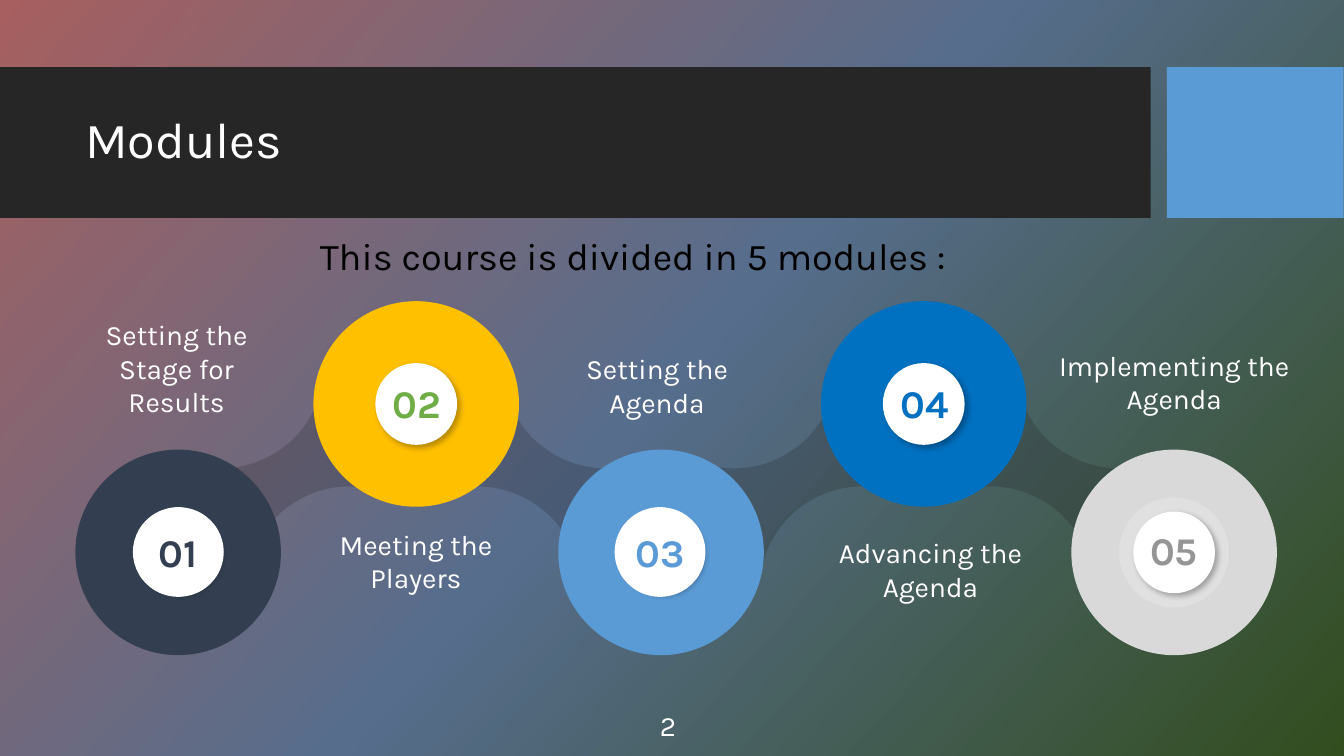
"""Build the Modules slide: five numbered circles joined by curved links."""
from lxml import etree
from pptx import Presentation
from pptx.dml.color import RGBColor
from pptx.enum.shapes import MSO_SHAPE
from pptx.enum.text import MSO_ANCHOR, PP_ALIGN
from pptx.oxml import parse_xml
from pptx.oxml.ns import nsdecls, qn
from pptx.util import Cm, Pt

RECT, OVAL = MSO_SHAPE.RECTANGLE, MSO_SHAPE.OVAL
TOP, MIDDLE = MSO_ANCHOR.TOP, MSO_ANCHOR.MIDDLE
LEFT, CENTER = PP_ALIGN.LEFT, PP_ALIGN.CENTER

WHITE = RGBColor(0xFF, 0xFF, 0xFF)
BLACK = RGBColor(0, 0, 0)
BAND = RGBColor(0x26, 0x26, 0x26)
LINK = RGBColor(0x18, 0x17, 0x17)
NAVY = RGBColor(0x33, 0x3F, 0x50)
AMBER = RGBColor(0xFF, 0xC0, 0x00)
GREEN = RGBColor(0x70, 0xAD, 0x47)
SKY = RGBColor(0x5B, 0x9B, 0xD5)
BLUE = RGBColor(0x00, 0x70, 0xC0)
SILVER = RGBColor(0xD9, 0xD9, 0xD9)
GREY = RGBColor(0x95, 0x95, 0x95)

FONT = "Karla"
BACKGROUND = [(0, "A75F5F"), (50, "566D8C"), (100, "324D1E")]
BACKGROUND_ANGLE = 42
BANDS = [((0, 1.69, 29, 3.8), BAND), ((29.41, 1.69, 4.45, 3.8), SKY)]
TEXTS = [
    ("Modules", (1.9, 2.08, 26.7, 3), 36, WHITE, LEFT, MIDDLE, 0.9),
    ("2", (16.38, 18, 1.12, 0.53), 20, WHITE, LEFT, MIDDLE),
    ("This course is divided in 5 modules :", (1.6, 5.74, 28.7, 1.42), 27, BLACK),
]
HIGH, LOW = 10.18, 13.92
MODULES = [
    dict(number="01", x=4.49, y=LOW, disc=NAVY, core=NAVY, badge=WHITE, ink=NAVY,
         badge_box=(3.35, 12.78, 2.29, 2.26),
         label="Setting the Stage for Results", box=(1.67, 7.88, 5.56, 2.82)),
    dict(number="02", x=10.49, y=HIGH, disc=AMBER, core=WHITE, badge=None, ink=GREEN,
         badge_box=(9.36, 9.01, 2.29, 2.26),
         label="Meeting the Players", box=(8.2, 13.16, 4.57, 1.96)),
    dict(number="03", x=16.66, y=LOW, disc=SKY, core=SKY, badge=WHITE, ink=SKY,
         badge_box=(15.49, 12.78, 2.29, 2.26),
         label="Setting the Agenda", box=(14.45, 8.73, 4.22, 1.96)),
    dict(number="04", x=23.28, y=HIGH, disc=BLUE, core=WHITE, badge=None, ink=BLUE,
         badge_box=(22.16, 9.01, 2.29, 2.26),
         label="Advancing the Agenda", box=(20.68, 13.38, 5.54, 1.96)),
    dict(number="05", x=29.59, y=LOW, disc=SILVER, core=WHITE, badge=None, ink=GREY,
         badge_box=(28.3, 12.57, 2.57, 2.57),
         label="Implementing the Agenda", box=(25.58, 8.65, 8.03, 1.96)),
]
DISC, RING, CORE = 5.18, 2.77, 2.06
LINK_XS, LINK_Y = [7.19, 13.65, 20.12, 26.58], 12.03
LINK_HALF = [
    (-0.89, 2.22), (-2.39, -0.35), (-2.29, -0.32),
    (-1.65, -0.14), (-0.94, -0.22), (-0.33, -0.57),
    (0.3, -0.93), (0.71, -1.49), (0.89, -2.15),
]
CURVE_STARTS = (3, 6, 12, 15)


def paint(shape, color, opacity=100):
    shape.shadow.inherit = False
    shape.line.fill.background()
    if color is None:
        shape.fill.background()
        return
    shape.fill.solid()
    shape.fill.fore_color.rgb = color
    if opacity < 100:
        clr = shape._element.spPr.find(".//" + qn("a:srgbClr"))
        etree.SubElement(clr, qn("a:alpha"), val=str(opacity * 1000))


def add_shadow(shape):
    effects = shape._element.spPr.find(qn("a:effectLst"))
    effects.append(parse_xml(
        f'<a:outerShdw {nsdecls("a")} blurRad="{Pt(4)}" dist="{Pt(3)}" dir="2700000" '
        'algn="tl" rotWithShape="0"><a:srgbClr val="000000"><a:alpha val="27000"/>'
        '</a:srgbClr></a:outerShdw>'))


def add_shape(parent, kind, box, color, opacity=100):
    sp = parent.shapes.add_shape(kind, *map(Cm, box))
    paint(sp, color, opacity)
    return sp


def write(sp, text, size, color, align=CENTER, anchor=TOP, spacing=None,
          bold=False, **margins):
    tf = sp.text_frame
    for name, value in dict(word_wrap=True, vertical_anchor=anchor, **margins).items():
        setattr(tf, name, value)
    p = tf.paragraphs[0]
    p.alignment = align
    p.line_spacing = spacing
    r = p.add_run()
    r.text = text
    for name, value in dict(name=FONT, size=Pt(size), bold=bold).items():
        setattr(r.font, name, value)
    r.font.color.rgb = color


def add_text(s, text, box, *style):
    write(s.shapes.add_textbox(*map(Cm, box)), text, *style)


def add_link(s, center, mirror):
    outline = LINK_HALF + [(-x, -y) for x, y in LINK_HALF]
    points = [(Cm(center + mirror * x), Cm(LINK_Y + y)) for x, y in outline]
    builder = s.shapes.build_freeform(*points[0])
    builder.add_line_segments(points[1:], close=True)
    sp = builder.convert_to_shape()
    steps = list(sp._element.spPr.find(".//" + qn("a:path")))
    for start in CURVE_STARTS:
        curve = etree.Element(qn("a:cubicBezTo"))
        steps[start].addprevious(curve)
        for step in steps[start:start + 3]:
            curve.append(step[0])
            step.getparent().remove(step)
    paint(sp, LINK, 20)


def add_disc(s, m):
    group = s.shapes.add_group_shape()
    ring = (WHITE, 20) if m["disc"] == SILVER else (m["disc"], 100)
    layers = [(DISC, m["disc"], 100), (RING, *ring), (CORE, m["core"], 100)]
    for size, color, opacity in layers:
        box = (m["x"] - size / 2, m["y"] - size / 2, size, size)
        sp = add_shape(group, OVAL, box, color, opacity)
    add_shadow(sp)


def add_number(s, m):
    badge = add_shape(s, OVAL, m["badge_box"], m["badge"])
    write(badge, m["number"], 28, m["ink"], anchor=MIDDLE, bold=True,
          margin_left=Cm(0.13), margin_right=Cm(0.13),
          margin_top=Cm(0.08), margin_bottom=Cm(0.08))


def set_background(s):
    stops = "".join(f'<a:gs pos="{pos * 1000}"><a:srgbClr val="{color}"/></a:gs>'
                    for pos, color in BACKGROUND)
    s._element.cSld.insert(0, parse_xml(
        f'<p:bg {nsdecls("p", "a")}><p:bgPr><a:gradFill><a:gsLst>{stops}</a:gsLst>'
        f'<a:lin ang="{BACKGROUND_ANGLE * 60000}" scaled="0"/></a:gradFill>'
        '<a:effectLst/></p:bgPr></p:bg>'))


def main():
    prs = Presentation()
    prs.slide_width, prs.slide_height = Cm(33.87), Cm(19.05)
    s = prs.slides.add_slide(prs.slide_layouts[6])
    set_background(s)
    for box, color in BANDS:
        add_shape(s, RECT, box, color)
    for i, center in enumerate(LINK_XS):
        add_link(s, center, -1 if i % 2 else 1)
    for m in MODULES:
        add_disc(s, m)
    for m in MODULES:
        add_text(s, m["label"], m["box"], 20, WHITE)
        add_number(s, m)
    for text in TEXTS:
        add_text(s, *text)
    prs.save("out.pptx")


if __name__ == "__main__":
    main()
